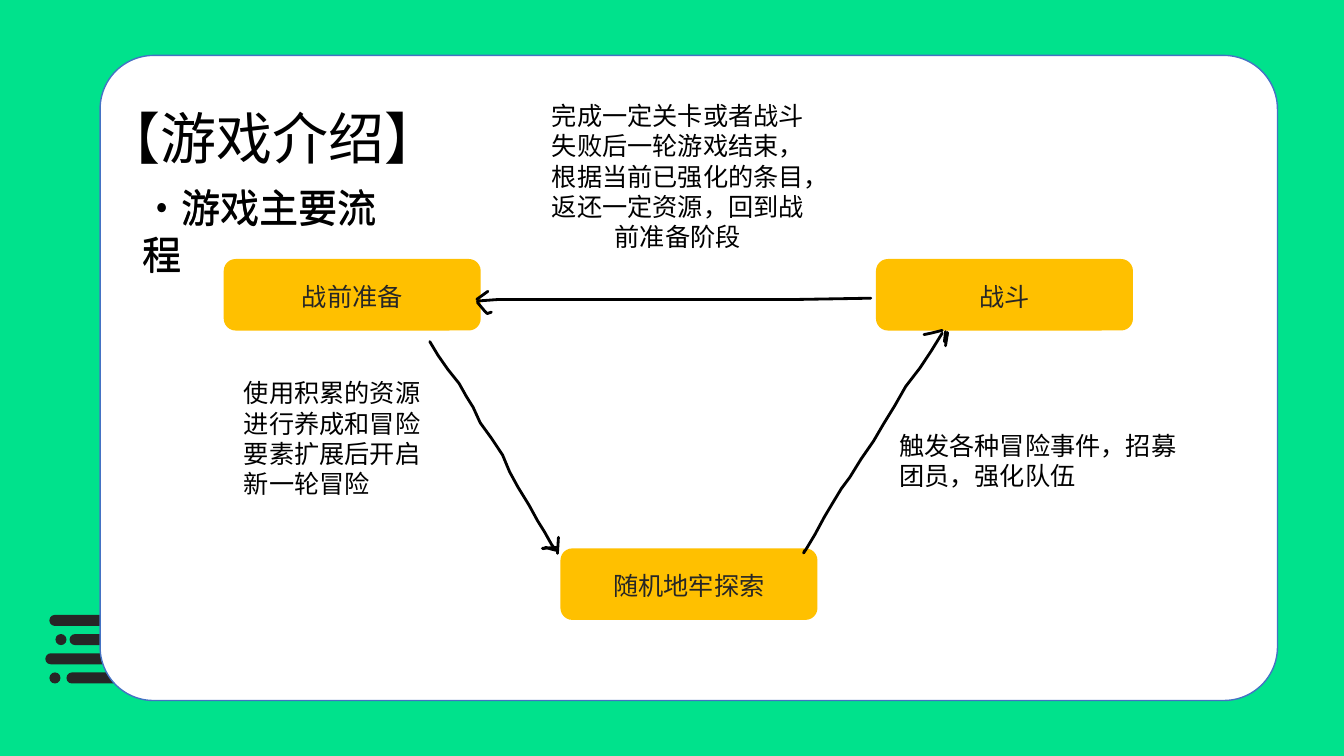
from dataclasses import dataclass

from lxml.etree import SubElement
from pptx import Presentation
from pptx.dml.color import RGBColor
from pptx.enum.shapes import MSO_CONNECTOR, MSO_SHAPE
from pptx.enum.text import MSO_ANCHOR, MSO_AUTO_SIZE, PP_ALIGN
from pptx.oxml.ns import qn
from pptx.util import Pt


@dataclass(frozen=True)
class Theme:
    background: str = "00E28C"
    panel: str = "FFFFFF"
    panel_line: str = "4472C4"
    dark: str = "262626"
    step: str = "FFC000"
    ink: str = "000000"
    heading_font: str = "Noto Sans CJK JP"
    note_font: str = "Noto Sans CJK SC"
    title_size: float = 40
    subtitle_size: float = 28
    text_size: float = 18
    line_spacing: float = 1.2
    inset: float = 3.6
    top_inset: float = 5.6
    stroke: float = 2


THEME = Theme()

# Speed stripes at the lower left: bar left, dot left
STRIPES = [(35.3, None), (49.7, 39.6), (32.4, None), (47.5, 35.3)]
STRIPE_TOP, STRIPE_PITCH, STRIPE_HEIGHT, STRIPE_WIDTH = 439.2, 13.7, 7.9, 72

# Steps of the game loop: label, left, top
STEPS = [("随机地牢探索", 400.3, 391.7), ("战斗", 625.7, 185), ("战前准备", 159.8, 185)]
STEP_WIDTH, STEP_HEIGHT = 183.6, 51.1

# Hand-drawn arrows; a stroke of two points is a straight line
STROKES = [
    # Battle to preparation
    [(340.6, 214.6), (355, 213.8), (404, 213.5), (564, 213.8), (622, 213.1)],
    [(340.6, 213.8), (348.5, 208.1)],
    [(340.6, 216), (345.6, 221.8), (348.5, 223.9), (351.4, 223.2)],
    # Exploration to battle
    [(673.2, 237.6), (664.6, 250.6), (656.6, 262.8), (647.3, 276.5),
     (638.6, 290.2), (631.4, 303.1), (623.5, 315.4), (614.9, 328.3),
     (607, 340.6), (601.2, 349.2), (595.4, 358.6), (589, 369.4),
     (581.8, 382.3), (576, 391.7), (573.8, 394.6), (575.3, 393.1)],
    [(676.8, 237.6), (675.4, 247)],
    [(673.2, 236.2), (665.3, 237.6), (659.5, 239)],
    [(676.8, 237.6), (675.4, 244.1)],
    [(675.4, 236.9), (674.6, 244.1)],
    # Preparation to exploration
    [(307.4, 244.1), (313.2, 254.2), (319.7, 263.5), (327.6, 274.3),
     (333.4, 283), (337.7, 290.9), (343.4, 301.7), (351.4, 313.2),
     (358.6, 325.4), (364.3, 337), (370.1, 348.5), (378, 360.7),
     (384.5, 371.5), (388.8, 380.2), (393.8, 388.8), (396.7, 393.1)],
    [(398.2, 395.3), (398.9, 383.8)],
    [(397.4, 393.1), (393.1, 391.7), (390.2, 391), (388.1, 392.4)],
    [(387.4, 391.7), (397.4, 391)],
]


def write_text(shape, text, *, size=THEME.text_size, font=THEME.heading_font,
               color=THEME.ink, align=PP_ALIGN.LEFT, anchor=MSO_ANCHOR.TOP):
    frame = shape.text_frame
    frame.word_wrap = True
    frame.auto_size = MSO_AUTO_SIZE.NONE
    frame.vertical_anchor = anchor
    frame.margin_left = frame.margin_right = frame.margin_bottom = Pt(THEME.inset)
    frame.margin_top = Pt(THEME.top_inset)
    paragraph = frame.paragraphs[0]
    paragraph.alignment = align
    paragraph.line_spacing = Pt(size * THEME.line_spacing)
    paragraph.space_before = Pt(0)
    properties = paragraph._p.get_or_add_pPr()
    properties.set("marL", "0")
    properties.set("indent", "0")
    SubElement(properties, qn("a:buNone"))
    run = paragraph.add_run()
    run.text = text
    run.font.size = Pt(size)
    run.font.name = font
    run.font.color.rgb = RGBColor.from_string(color)
    SubElement(run.font._element, qn("a:ea"), typeface=font)


class SlideBuilder:
    def __init__(self, slide, theme):
        self.slide = slide
        self.theme = theme
        fill = slide.background.fill
        fill.solid()
        fill.fore_color.rgb = RGBColor.from_string(theme.background)

    def block(self, kind, box, fill, line=None, radius=None):
        shape = self.slide.shapes.add_shape(kind, *map(Pt, box))
        shape.shadow.inherit = False
        shape.fill.solid()
        shape.fill.fore_color.rgb = RGBColor.from_string(fill)
        if line:
            shape.line.color.rgb = RGBColor.from_string(line)
            shape.line.width = Pt(1)
        else:
            shape.line.fill.background()
        if radius is not None:
            shape.adjustments[0] = radius
        return shape

    def placeholder(self, index, box, text, **text_format):
        shape = self.slide.placeholders[index]
        shape.left, shape.top, shape.width, shape.height = map(Pt, box)
        # Bring the placeholder in front of the panel
        shape.element.getparent().append(shape.element)
        write_text(shape, text, **text_format)

    def text(self, box, text, **text_format):
        write_text(self.slide.shapes.add_textbox(*map(Pt, box)), text, **text_format)

    def stroke(self, points):
        shapes = self.slide.shapes
        start, *rest = points
        if len(rest) == 1:
            shape = shapes.add_connector(
                MSO_CONNECTOR.STRAIGHT, *map(Pt, start + rest[0]))
            SubElement(shape.element.spPr, qn("a:effectLst"))
        else:
            builder = shapes.build_freeform(*start, scale=Pt(1))
            builder.add_line_segments(rest, close=False)
            shape = builder.convert_to_shape()
            shape.shadow.inherit = False
            shape.fill.background()
        shape.line.color.rgb = RGBColor.from_string(self.theme.ink)
        shape.line.width = Pt(self.theme.stroke)
        shape.line._get_or_add_ln().set("cap", "rnd")


def main():
    presentation = Presentation()
    presentation.slide_width, presentation.slide_height = Pt(960), Pt(540)
    slide = presentation.slides.add_slide(presentation.slide_layouts[1])
    builder = SlideBuilder(slide, THEME)

    # Stripes and white panel
    for row, (bar_left, dot_left) in enumerate(STRIPES):
        top = STRIPE_TOP + row * STRIPE_PITCH
        builder.block(MSO_SHAPE.ROUNDED_RECTANGLE,
                      (bar_left, top, STRIPE_WIDTH, STRIPE_HEIGHT), THEME.dark, radius=0.5)
        if dot_left is not None:
            builder.block(MSO_SHAPE.OVAL,
                          (dot_left, top, STRIPE_HEIGHT, STRIPE_HEIGHT), THEME.dark)
    builder.block(MSO_SHAPE.ROUNDED_RECTANGLE, (71.5, 39.6, 841, 460.8),
                  THEME.panel, line=THEME.panel_line, radius=0.083)

    # Headings; the subtitle is doubled to look heavier
    builder.placeholder(0, (71.3, 68.4, 248.5, 63.4), "【游戏介绍】", size=THEME.title_size)
    subtitle = "•游戏主要流程"
    builder.placeholder(1, (97.9, 126, 185.8, 47.5), subtitle, size=THEME.subtitle_size)
    builder.text((97.9, 125.3, 185.8, 47.5), subtitle, size=THEME.subtitle_size)

    # Steps and arrows
    for label, left, top in STEPS:
        step = builder.block(MSO_SHAPE.ROUNDED_RECTANGLE,
                             (left, top, STEP_WIDTH, STEP_HEIGHT), THEME.step, radius=0.167)
        write_text(step, label, color=THEME.dark,
                   align=PP_ALIGN.CENTER, anchor=MSO_ANCHOR.MIDDLE)
    for points in STROKES:
        builder.stroke(points)

    # Notes beside the arrows
    result = builder.block(MSO_SHAPE.RECTANGLE, (383, 66.2, 202.3, 132.5), THEME.panel)
    write_text(result, "完成一定关卡或者战斗失败后一轮游戏结束，根据当前已强化的条目，返还一定资源，回到战前准备阶段",
               font=THEME.note_font, align=PP_ALIGN.CENTER)
    builder.text((170.6, 264.2, 134, 107.3),
                 "使用积累的资源进行养成和冒险要素扩展后开启新一轮冒险", font=THEME.note_font)
    builder.text((638.6, 301.7, 208.1, 56.9),
                 "触发各种冒险事件，招募团员，强化队伍", font=THEME.note_font)

    presentation.save("out.pptx")


if __name__ == "__main__":
    main()
